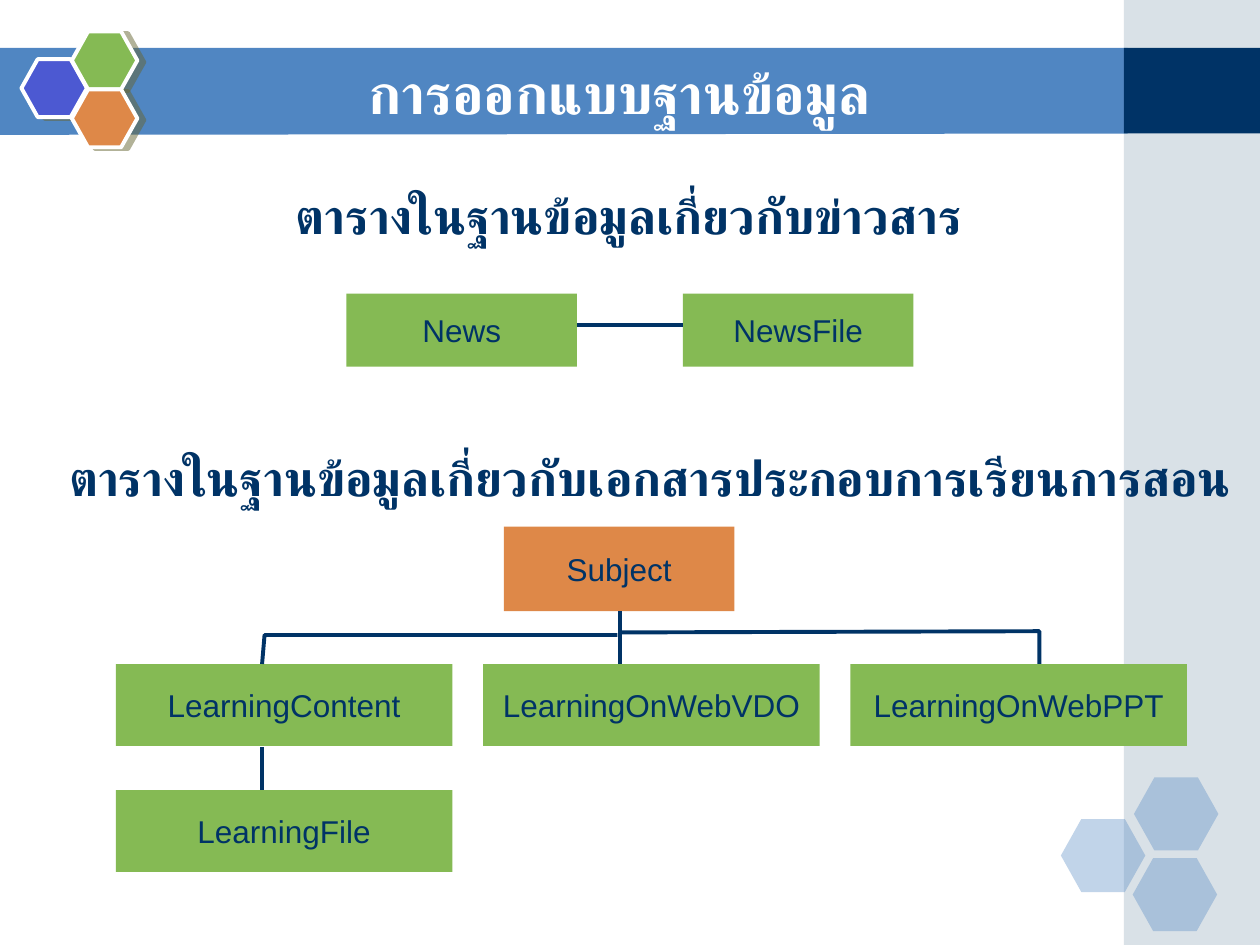
from pptx import Presentation
from pptx.dml.color import RGBColor
from pptx.enum.shapes import MSO_CONNECTOR as Link, MSO_SHAPE as Form
from pptx.enum.text import MSO_ANCHOR as Anchor, MSO_AUTO_SIZE as Fit, PP_ALIGN as Align
from pptx.oxml.ns import qn
from pptx.util import Inches, Pt
from lxml.etree import SubElement

NAVY, BLUE, GREEN, ORANGE = "003366", "5086C2", "85BA54", "DE8848"
INDIGO, GRAY, OLIVE, WHITE = "4C59D2", "A0B5C4", "666633", "FFFFFF"


def tint(code):
    return RGBColor.from_string(code)


def fade(color, part):
    SubElement(color, qn("a:alpha"), val=str(part * 1000))


class Page:
    font, size, ink, width = "Arial", 18, NAVY, 2.25

    def __init__(self, slide):
        self.slide = slide
        self.shapes = slide.shapes

    def style(self, para, size, ink, bold=False, font=None):
        para.font.name = font or self.font
        para.font.size = Pt(size)
        para.font.bold = bold
        para.font.color.rgb = tint(ink)

    def title(self, text, left, top, wide, high):
        box = self.shapes.title
        box.left, box.top = Inches(left), Inches(top)
        box.width, box.height = Inches(wide), Inches(high)
        frame = box.text_frame
        frame.text = text
        frame.vertical_anchor = Anchor.MIDDLE
        frame.auto_size = Fit.NONE
        para = frame.paragraphs[0]
        para.alignment = Align.CENTER
        self.style(para, 32, WHITE, True, "DejaVu Sans")
        tree = box.element.getparent()
        tree.remove(box.element)
        tree.append(box.element)

    def shape(self, form, left, top, wide, high, fill, alpha=None):
        item = self.shapes.add_shape(form, Inches(left), Inches(top), Inches(wide), Inches(high))
        item.shadow.inherit = False
        item.fill.solid()
        item.fill.fore_color.rgb = tint(fill)
        item.line.fill.background()
        if alpha:
            fade(item.element.spPr.find(qn("a:solidFill"))[0], alpha)
        return item

    def hexagon(self, left, top, wide, high, fill, alpha=None):
        item = self.shape(Form.HEXAGON, left, top, wide, high, fill, alpha)
        item.adjustments[0] = 0.28
        return item

    def badge(self, left, top, fill):
        item = self.hexagon(left, top, 0.52, 0.46, fill)
        item.line.color.rgb = tint(WHITE)
        item.line.width = Pt(self.width)
        glow = item.element.spPr.find(qn("a:effectLst"))
        shade = SubElement(glow, qn("a:outerShdw"), dist=str(Pt(4.1)), dir=str(14 * 60000),
                           algn="ctr", rotWithShape="0")
        fade(SubElement(shade, qn("a:srgbClr"), val=OLIVE), 50)

    def table(self, text, left, top, wide, high, fill=GREEN):
        frame = self.shape(Form.RECTANGLE, left, top, wide, high, fill).text_frame
        frame.text = text
        frame.word_wrap = False
        frame.vertical_anchor = Anchor.MIDDLE
        para = frame.paragraphs[0]
        para.alignment = Align.CENTER
        self.style(para, self.size, self.ink)

    def heading(self, text, left, top, wide):
        box = self.shapes.add_textbox(Inches(left), Inches(top), Inches(wide), Inches(0.57))
        frame = box.text_frame
        frame.text = text
        frame.word_wrap = False
        frame.auto_size = Fit.SHAPE_TO_FIT_TEXT
        self.style(frame.paragraphs[0], 28, self.ink, True)

    def pen(self, line):
        line.color.rgb = tint(self.ink)
        line.width = Pt(self.width)

    def line(self, *ends):
        item = self.shapes.add_connector(Link.STRAIGHT, *map(Inches, ends))
        SubElement(item.element.spPr, qn("a:effectLst"))
        self.pen(item.line)

    def path_of(self, points, close=False):
        first, *rest = [(Inches(x), Inches(y)) for x, y in points]
        draft = self.shapes.build_freeform(*first)
        draft.add_line_segments(rest, close=close)
        item = draft.convert_to_shape()
        item.shadow.inherit = False
        return item

    def band(self, points, fill):
        item = self.path_of(points, True)
        item.fill.solid()
        item.fill.fore_color.rgb = tint(fill)
        item.line.fill.background()

    def branch(self, *points):
        item = self.path_of(points)
        item.fill.background()
        self.pen(item.line)


def main():
    deck = Presentation()
    deck.slide_width, deck.slide_height = Inches(10), Inches(7.5)
    page = Page(deck.slides.add_slide(deck.slide_layouts[5]))

    page.band([(-0.01, 0.38), (8.95, 0.38), (8.95, 1.06), (-0.01, 1.07)], BLUE)
    page.shape(Form.RECTANGLE, 8.92, 0, 1.08, 7.5, GRAY, 40)
    page.shape(Form.RECTANGLE, 8.92, 0.38, 1.08, 0.68, NAVY)
    for left, top in [(8.42, 6.5), (9, 6.17), (8.99, 6.81)]:
        page.hexagon(left, top, 0.67, 0.58, BLUE, 35)
    for left, top, fill in [(0.17, 0.47, INDIGO), (0.57, 0.25, GREEN), (0.57, 0.71, ORANGE)]:
        page.badge(left, top, fill)

    page.title("การออกแบบฐานข้อมูล", 1.25, 0.42, 7.33, 0.62)

    names = ["LearningContent", "LearningOnWebVDO", "LearningOnWebPPT"]
    for col, name in enumerate(names):
        page.table(name, 0.92 + col * 2.915, 5.27, 2.67, 0.65)
    page.table("Subject", 4, 4.18, 1.83, 0.67, ORANGE)
    page.table("LearningFile", 0.92, 6.27, 2.67, 0.65)
    page.heading("ตารางในฐานข้อมูลเกี่ยวกับเอกสารประกอบการเรียนการสอน", 0.45, 3.5, 9.43)
    page.line(4.92, 4.85, 4.92, 5.27)
    page.line(2.08, 5.93, 2.08, 6.27)
    page.branch((4.9, 5.04), (2.1, 5.04), (2.08, 5.27))
    page.branch((4.92, 5.02), (8.25, 5.01), (8.25, 5.27))

    for left, name in [(2.75, "News"), (5.42, "NewsFile")]:
        page.table(name, left, 2.33, 1.83, 0.58)
    page.line(4.58, 2.58, 5.42, 2.58)
    page.heading("ตารางในฐานข้อมูลเกี่ยวกับข่าวสาร", 2.25, 1.42, 5.5)

    deck.save("out.pptx")


if __name__ == "__main__":
    main()
